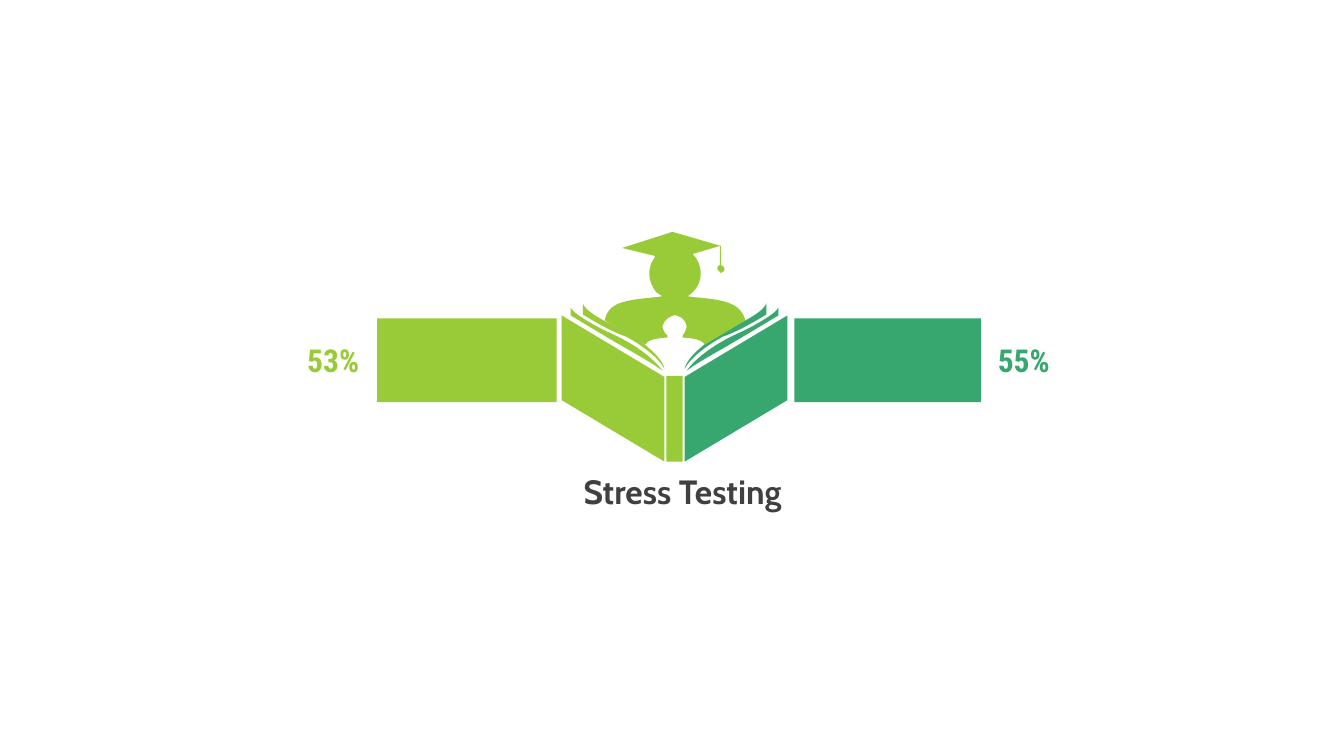
from lxml.etree import SubElement as Sub
from pptx import Presentation
from pptx.dml.color import RGBColor as Rgb
from pptx.enum.shapes import MSO_SHAPE as Geo
from pptx.enum.text import MSO_ANCHOR as Anchor, PP_ALIGN as Align
from pptx.oxml.ns import qn
from pptx.util import Inches, Pt

HUES = {"lime": "99CB38", "green": "37A76F", "text": "404040"}

# Outlines as offsets from the top middle of the emblem:
# two numbers make a corner, six a cubic curve
HALF = [
    # Cover
    [(1.12, 0.83), (1.12, 1.67), (0.1, 2.28), (0.1, 1.44)],
    # Outer page
    [(1.03, 0.75), (1.03, 0.83),
     (1.03, 0.83, 0.55, 1.12, 0.44, 1.18),
     (0.44, 1.18, 0.19, 1.32, 0.12, 1.38),
     (0.12, 1.38, 0.25, 1.17, 0.67, 0.99),
     (0.67, 0.99, 1.0, 0.83, 1.03, 0.75)],
    # Inner page
    [(0.91, 0.71), (0.91, 0.82),
     (0.91, 0.82, 0.66, 0.98, 0.48, 1.04),
     (0.48, 1.04, 0.19, 1.19, 0.1, 1.36),
     (0.1, 1.36, 0.11, 1.19, 0.58, 0.94),
     (0.58, 0.94, 0.88, 0.81, 0.91, 0.71)],
]
READER = [
    # Spine
    [(-0.08, 1.43), (0.08, 1.43), (0.08, 2.28), (-0.08, 2.28)],
    # Cap, tassel, head and body
    [(-0.02, 0), (0.46, 0.14), (0.46, 0.33), (0.48, 0.34),
     (0.5, 0.35, 0.5, 0.37, 0.49, 0.39), (0.46, 0.41), (0.44, 0.39),
     (0.42, 0.38, 0.42, 0.35, 0.43, 0.34), (0.45, 0.33), (0.45, 0.14),
     (0.18, 0.22), (0.23, 0.27, 0.26, 0.34, 0.26, 0.41),
     (0.26, 0.49, 0.23, 0.55, 0.18, 0.6), (0.13, 0.64), (0.21, 0.65),
     (0.32, 0.66, 0.43, 0.67, 0.52, 0.7),
     (0.69, 0.75, 0.7, 0.88, 0.7, 0.88), (0.3, 1.12),
     (0.27, 1.05, 0.08, 1.05, 0.08, 1.05), (0.08, 1.03),
     (0.11, 1.0, 0.12, 0.94, 0.12, 0.94),
     (0.11, 0.86, 0.05, 0.84, 0.02, 0.83), (-0.01, 0.83),
     (-0.04, 0.84, -0.1, 0.86, -0.12, 0.94),
     (-0.12, 0.94, -0.11, 1.0, -0.07, 1.03), (-0.07, 1.05),
     (-0.07, 1.05, -0.26, 1.05, -0.29, 1.12), (-0.69, 0.88),
     (-0.69, 0.88, -0.69, 0.75, -0.52, 0.7),
     (-0.42, 0.67, -0.31, 0.66, -0.2, 0.65), (-0.12, 0.64), (-0.18, 0.6),
     (-0.22, 0.55, -0.25, 0.49, -0.25, 0.41),
     (-0.25, 0.37, -0.24, 0.34, -0.23, 0.31), (-0.19, 0.24),
     (-0.52, 0.16)],
]


def paint(shape, hue):
    shape.shadow.inherit = False
    shape.fill.solid()
    shape.fill.fore_color.rgb = Rgb.from_string(HUES[hue])
    shape.line.fill.background()


def bend(shape, outlines):
    """Join each curve's three line steps into one cubic curve."""
    track = next(shape._element.iter(qn("a:path")))
    steps = iter([s for s in track if s.tag != qn("a:close")])
    for part in (p for outline in outlines for p in outline):
        first = next(steps)
        if len(part) == 6:
            curve = Sub(track, qn("a:cubicBezTo"))
            track.replace(first, curve)
            curve.append(first[0])
            for _ in range(2):
                step = next(steps)
                curve.append(step[0])
                track.remove(step)


def draw(slide, mid, top, outlines, hue, side=1):
    pen = None
    for outline in outlines:
        points = [(Inches(mid + side * part[i]), Inches(top + part[i + 1]))
                  for part in outline for i in range(0, len(part), 2)]
        if pen is None:
            pen = slide.shapes.build_freeform(*points[0])
        else:
            pen.move_to(*points[0])
        pen.add_line_segments(points[1:], close=True)
    shape = pen.convert_to_shape()
    bend(shape, outlines)
    paint(shape, hue)


def write(slide, box, text, size, font, hue):
    label = slide.shapes.add_textbox(*map(Inches, box))
    frame = label.text_frame
    frame.word_wrap = True
    frame.vertical_anchor = Anchor.MIDDLE
    frame.margin_left = frame.margin_right = 0
    frame.margin_top = frame.margin_bottom = 0
    line = frame.paragraphs[0]
    line.alignment = Align.CENTER
    run = line.add_run()
    run.text = text
    run.font.size = Pt(size)
    run.font.name = font
    run.font.bold = True
    run.font.color.rgb = Rgb.from_string(HUES[hue])


def add_book(slide, mid, top):
    draw(slide, mid, top, HALF, "lime", -1)
    draw(slide, mid, top, HALF, "green")


def add_bar(slide, box, hue):
    paint(slide.shapes.add_shape(Geo.RECTANGLE, *map(Inches, box)), hue)


def add_value(slide, left, top, text, hue):
    write(slide, (left, top, 0.61, 0.39), text, 22.5, "Roboto Condensed", hue)


def main():
    deck = Presentation()
    deck.slide_width, deck.slide_height = Inches(13.33), Inches(7.5)
    slide = deck.slides.add_slide(deck.slide_layouts[6])
    # Book, bars on both sides, and reader
    add_book(slide, 6.69, 2.3)
    add_bar(slide, (3.74, 3.16, 1.78, 0.83), "lime")
    add_bar(slide, (7.88, 3.16, 1.85, 0.83), "green")
    draw(slide, 6.69, 2.3, READER, "lime")
    # Values and caption
    add_value(slide, 3, 3.38, "53%", "lime")
    add_value(slide, 9.85, 3.38, "55%", "green")
    write(slide, (4.89, 4.66, 3.76, 0.42), "Stress Testing", 24, "Cabin",
          "text")
    deck.save("out.pptx")


if __name__ == "__main__":
    main()
